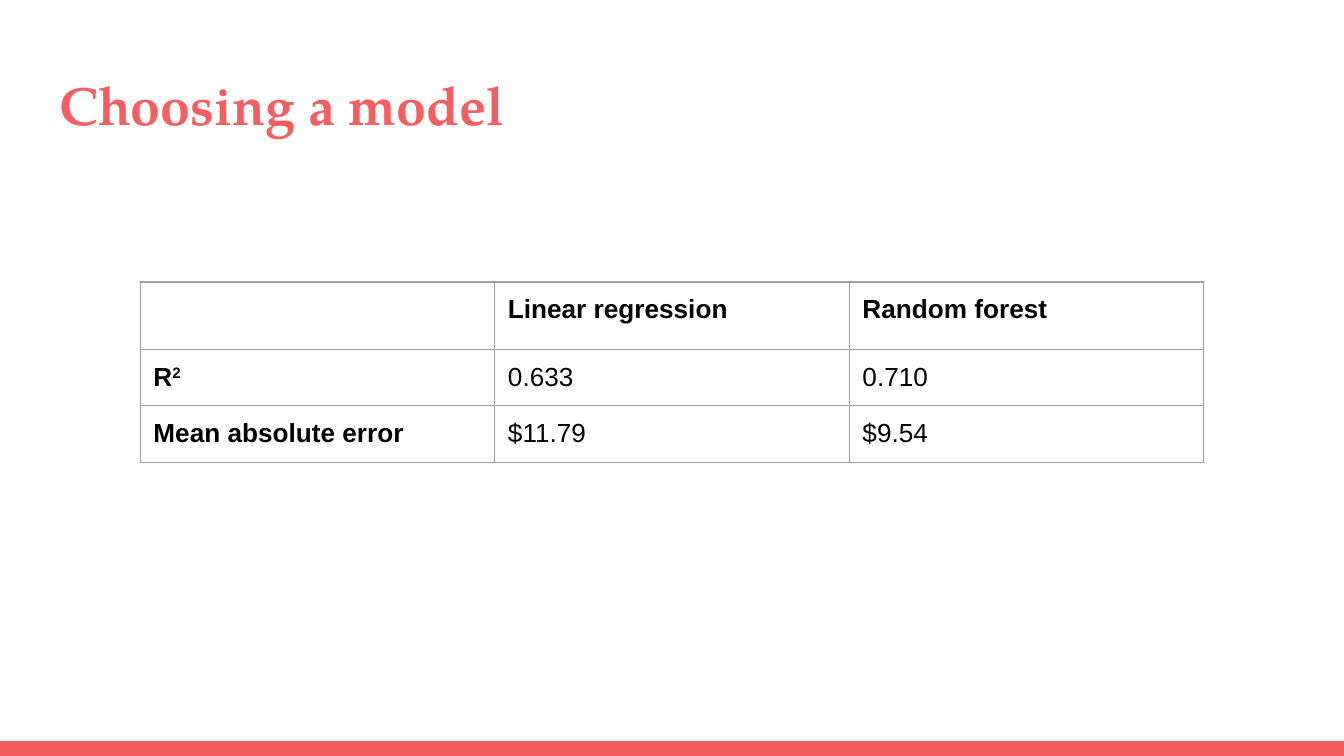
import pptx
import pptx.util
import pptx.dml.color
import pptx.enum.shapes
import pptx.enum.text
import pptx.oxml
import pptx.oxml.ns

Cm = pptx.util.Cm
Pt = pptx.util.Pt
RGB = pptx.dml.color.RGBColor

CORAL = RGB(0xF5, 0x5E, 0x61)
BLACK = RGB(0, 0, 0)
GREY = RGB(0x9E, 0x9E, 0x9E)
PAD = Cm(0.25)

ROWS = [
    ["", "Linear regression", "Random forest"],
    ["R^2", "0.633", "0.710"],
    ["Mean absolute error", "$11.79", "$9.54"],
]


def style(para, font, size, color, bold):
    para.font.name = font
    para.font.size = Pt(size)
    para.font.color.rgb = color
    para.font.bold = bold


def pad(item):
    item.margin_left = item.margin_right = PAD
    item.margin_top = item.margin_bottom = PAD


def add_band(slide, left, top, width, height):
    band = slide.shapes.add_shape(
        pptx.enum.shapes.MSO_SHAPE.RECTANGLE, left, top, width, height)
    band.shadow.inherit = False
    band.fill.solid()
    band.fill.fore_color.rgb = CORAL
    band.line.fill.background()


def set_title(slide, text, left, top, width, height):
    title = slide.shapes.title
    title.left, title.top, title.width, title.height = left, top, width, height
    frame = title.text_frame
    pad(frame)
    frame.word_wrap = True
    frame.vertical_anchor = pptx.enum.text.MSO_ANCHOR.TOP
    frame.text = text
    para = frame.paragraphs[0]
    para.alignment = pptx.enum.text.PP_ALIGN.LEFT
    style(para, "TeX Gyre Pagella", 28.8, CORAL, True)


def add_border(cell):
    props = cell._tc.get_or_add_tcPr()
    for side in ("lnL", "lnR", "lnT", "lnB"):
        props.append(pptx.oxml.parse_xml(
            f'<a:{side} {pptx.oxml.ns.nsdecls("a")} w="{Pt(0.75)}"><a:solidFill>'
            f'<a:srgbClr val="{GREY}"/></a:solidFill></a:{side}>'))


def fill_cell(cell, text, bold):
    pad(cell)
    add_border(cell)
    cell.fill.background()
    if not text:
        return
    # A caret splits off a superscript
    base, _, power = text.partition("^")
    para = cell.text_frame.paragraphs[0]
    para.add_run().text = base
    if power:
        run = para.add_run()
        run.text = power
        run._r.get_or_add_rPr().set("baseline", "30000")
    style(para, "Arial", 14, BLACK, bold)


def add_scores(slide, left, top, width, height):
    table = slide.shapes.add_table(
        len(ROWS), len(ROWS[0]), left, top, width, height).table
    table.first_row = table.horz_banding = False
    for i, row in enumerate(ROWS):
        for j, text in enumerate(row):
            fill_cell(table.cell(i, j), text, i == 0 or j == 0)


def main():
    deck = pptx.Presentation()
    deck.slide_width, deck.slide_height = Cm(25.4), Cm(14.29)
    slide = deck.slides.add_slide(deck.slide_layouts[5])

    # Bottom band
    add_band(slide, 0, Cm(14.01), deck.slide_width, Cm(0.28))
    # Heading
    set_title(slide, "Choosing a model", Cm(0.87), Cm(1.1), Cm(23.66), Cm(1.73))
    # Model scores
    add_scores(slide, Cm(2.65), Cm(5.33), Cm(20.1), Cm(3.2))

    deck.save("out.pptx")


if __name__ == "__main__":
    main()
